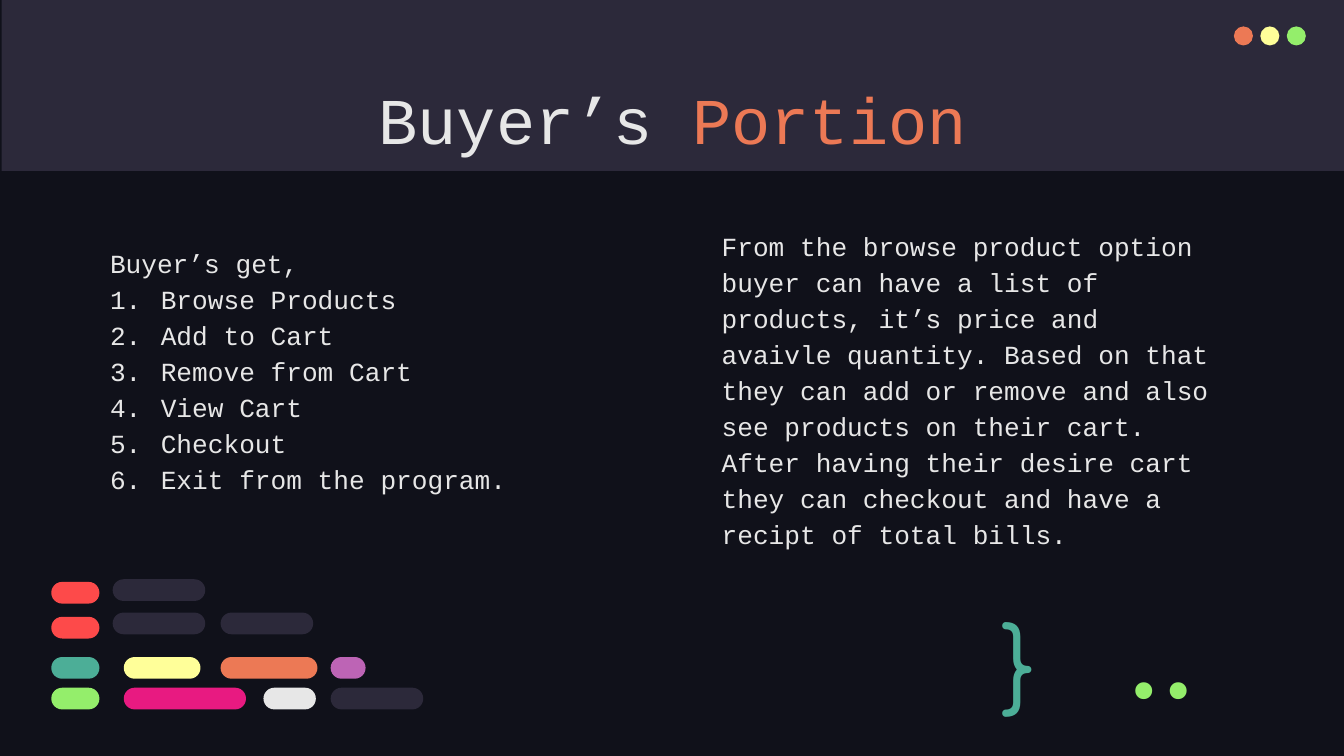
from pptx import Presentation
from pptx.dml.color import RGBColor
from pptx.enum.shapes import MSO_SHAPE as Shape
from pptx.enum.text import MSO_ANCHOR as Anchor, PP_ALIGN as Align
from pptx.oxml import parse_xml
from pptx.oxml.ns import nsdecls
from pptx.util import Cm, Pt

CODE_FONT = "Courier New"
BACKGROUND, PANEL, WHITE = "10111A", "2C293A", "E7E7E7"
ORANGE, YELLOW, GREEN = "EC7955", "FFFF99", "94EE6B"
RED, TEAL, PURPLE, PINK = "FD4A4A", "4CAE97", "BD64B5", "E81A81"

PILL_HEIGHT = 0.41
# Top of each row, then left, width and colour of its pills
PILL_ROWS = [
    (11.0, [(0.97, 0.91, RED)]),
    (11.66, [(0.97, 0.91, RED)]),
    (12.42, [(0.97, 0.91, TEAL), (2.34, 1.45, YELLOW),
             (4.17, 1.83, ORANGE), (6.25, 0.66, PURPLE)]),
    (13.0, [(0.97, 0.91, GREEN), (2.34, 2.31, PINK),
            (4.98, 0.99, WHITE), (6.25, 1.75, PANEL)]),
    (10.95, [(2.13, 1.75, PANEL)]),
    (11.58, [(2.13, 1.75, PANEL), (4.17, 1.75, PANEL)]),
]

OPTIONS = ["Browse Products", "Add to Cart", "Remove from Cart",
           "View Cart", "Checkout", "Exit from the program."]
DESCRIPTION = (
    "From the browse product option buyer can have a list of products, "
    "it’s price and avaivle quantity. Based on that they can add or remove "
    "and also see products on their cart. After having their desire cart "
    "they can checkout and have a recipt of total bills.")


def rgb(color):
    return RGBColor.from_string(color)


def add_filled(shapes, kind, left, top, width, height, color):
    shape = shapes.add_shape(kind, Cm(left), Cm(top), Cm(width), Cm(height))
    shape.shadow.inherit = False
    shape.fill.solid()
    shape.fill.fore_color.rgb = rgb(color)
    shape.line.fill.background()
    return shape


def format_run(run, size, color, font=CODE_FONT):
    run.font.name = font
    run.font.size = Pt(size)
    run.font.color.rgb = rgb(color)


def add_text(slide, box, lines, size, color, font=CODE_FONT,
             align=Align.LEFT, anchor=Anchor.TOP, spacing=None):
    shape = slide.shapes.add_textbox(*(Cm(value) for value in box))
    text_frame = shape.text_frame
    text_frame.word_wrap = True
    text_frame.vertical_anchor = anchor
    text_frame.margin_left = text_frame.margin_right = Cm(0.25)
    text_frame.margin_top = text_frame.margin_bottom = Cm(0.25)
    text_frame.text = "\n".join(lines)
    for paragraph in text_frame.paragraphs:
        paragraph.alignment = align
        paragraph.line_spacing = spacing
        for run in paragraph.runs:
            format_run(run, size, color, font)
    return text_frame


def number_paragraph(paragraph, color):
    properties = paragraph._p.get_or_add_pPr()
    properties.set("marL", str(Cm(0.96)))
    properties.set("indent", str(-Cm(0.96)))
    for xml in (f'<a:buClr {nsdecls("a")}><a:srgbClr val="{color}"/></a:buClr>',
                f'<a:buFont {nsdecls("a")} typeface="{CODE_FONT}"/>',
                f'<a:buAutoNum {nsdecls("a")} type="arabicPeriod"/>'):
        properties.append(parse_xml(xml))


def add_header(slide):
    add_filled(slide.shapes, Shape.RECTANGLE, 0.03, 0, 25.4, 3.23, PANEL)
    dots = slide.shapes.add_group_shape().shapes
    for index, color in enumerate((ORANGE, YELLOW, GREEN)):
        add_filled(dots, Shape.OVAL, 23.32 + 0.5 * index, 0.5, 0.36, 0.36, color)
    title = add_text(slide, (2.01, 1.24, 21.41, 1.6), ["Buyer’s "], 35, WHITE,
                     align=Align.CENTER)
    accent = title.paragraphs[0].add_run()
    accent.text = "Portion"
    format_run(accent, 35, ORANGE)


def add_pills(slide):
    pills = slide.shapes.add_group_shape().shapes
    for top, row in PILL_ROWS:
        for left, width, color in row:
            pill = add_filled(pills, Shape.ROUNDED_RECTANGLE,
                              left, top, width, PILL_HEIGHT, color)
            pill.adjustments[0] = 0.5


def main():
    presentation = Presentation()
    presentation.slide_width, presentation.slide_height = Cm(25.4), Cm(14.29)
    slide = presentation.slides.add_slide(presentation.slide_layouts[6])
    slide.background.fill.solid()
    slide.background.fill.fore_color.rgb = rgb(BACKGROUND)

    add_header(slide)

    # Description and numbered options
    add_text(slide, (13.39, 4.01, 10.01, 6.76), [DESCRIPTION], 14, WHITE,
             spacing=1.15)
    options = add_text(slide, (1.83, 4.34, 10.01, 6.76),
                       ["Buyer’s get,", *OPTIONS], 14, WHITE, spacing=1.15)
    for paragraph in options.paragraphs[1:]:
        number_paragraph(paragraph, WHITE)

    # Code decoration
    add_pills(slide)
    add_text(slide, (18.67, 11.13, 1.45, 2.11), ["}"], 50, TEAL, "Comfortaa")
    add_text(slide, (20.57, 11.73, 2.72, 1.52), [".."], 50, GREEN, "Fira Code",
             Align.RIGHT, Anchor.MIDDLE)

    presentation.save("out.pptx")


if __name__ == "__main__":
    main()
